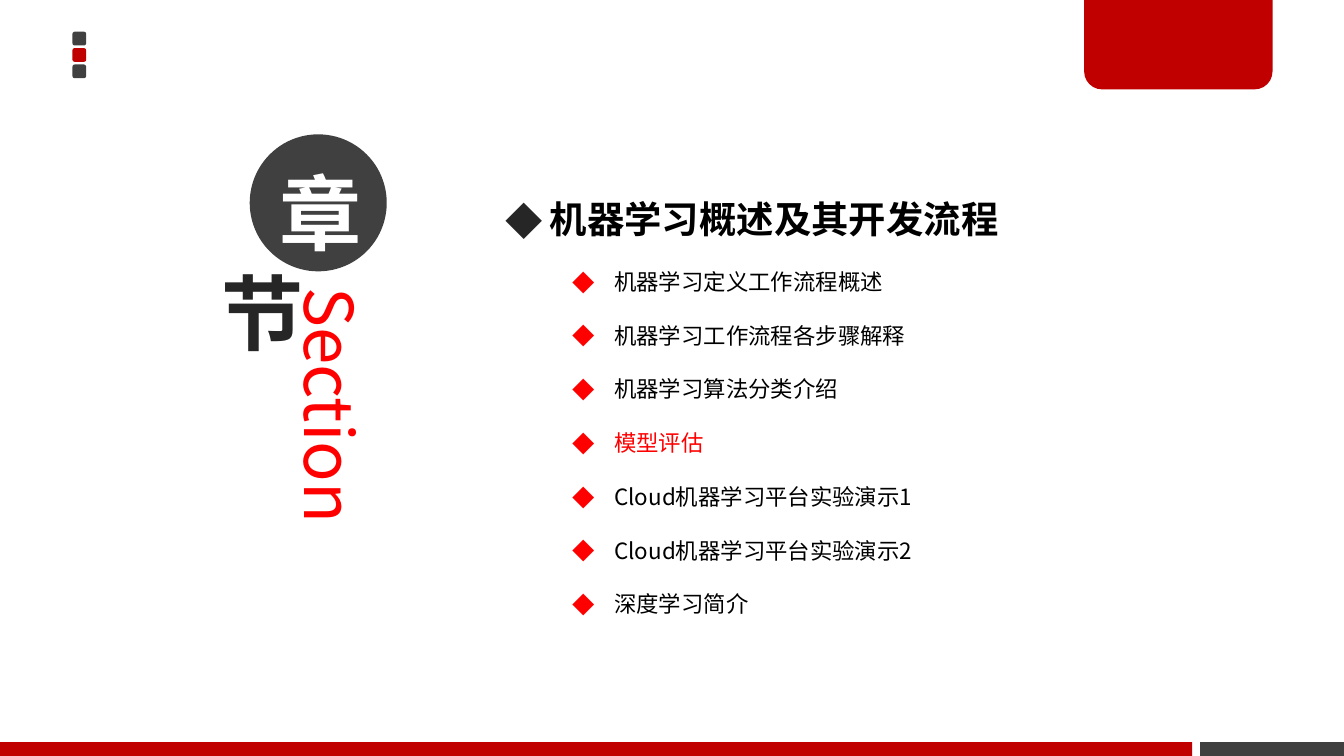
from lxml.etree import SubElement
from pptx import Presentation
from pptx.dml.color import RGBColor
from pptx.enum.shapes import MSO_SHAPE
from pptx.enum.text import MSO_ANCHOR, MSO_AUTO_SIZE, PP_ALIGN
from pptx.oxml.ns import qn
from pptx.util import Cm, Pt

# Content
HEADING = "机器学习概述及其开发流程"
TOPICS = [
    "机器学习定义工作流程概述",
    "机器学习工作流程各步骤解释",
    "机器学习算法分类介绍",
    "模型评估",
    "Cloud机器学习平台实验演示1",
    "Cloud机器学习平台实验演示2",
    "深度学习简介",
]
CURRENT = "模型评估"

# Style
FONT = "Noto Sans CJK SC"
DARK, INK, CRIMSON, RED = "404040", "262626", "C00000", "FF0000"
BLACK, WHITE = "000000", "FFFFFF"
SLIDE_W, SLIDE_H = 25.4, 14.29


def color(value):
    return RGBColor.from_string(value)


def add_shape(kind, x, y, w, h, fill=None):
    sp = s.shapes.add_shape(kind, Cm(x), Cm(y), Cm(w), Cm(h))
    sp.shadow.inherit = False
    sp.line.fill.background()
    if fill:
        sp.fill.solid()
        sp.fill.fore_color.rgb = color(fill)
    else:
        sp.fill.background()
    return sp


def add_text(p, text, size, fill, bold=False):
    r = p.add_run()
    r.text = text
    r.font.name = FONT
    r.font.size = Pt(size)
    r.font.bold = bold
    r.font.color.rgb = color(fill)
    SubElement(r.font._element, qn("a:ea"), typeface=FONT)


def add_bullet(p, margin, hanging, fill):
    p.line_spacing = 2.0
    pPr = p._p.get_or_add_pPr()
    pPr.set("marL", str(Cm(margin)))
    pPr.set("indent", str(-Cm(hanging)))
    SubElement(SubElement(pPr, qn("a:buClr")), qn("a:srgbClr"), val=fill)
    SubElement(pPr, qn("a:buFont"), typeface=FONT)
    SubElement(pPr, qn("a:buChar"), char="◆")


def add_badge(text, x, y, size, fill, text_fill, bottom=0.1):
    sp = add_shape(MSO_SHAPE.OVAL, x, y, size, size, fill)
    tf = sp.text_frame
    tf.vertical_anchor = MSO_ANCHOR.MIDDLE
    tf.margin_left = tf.margin_right = Cm(0.18)
    tf.margin_top, tf.margin_bottom = Cm(0.1), Cm(bottom)
    p = tf.paragraphs[0]
    p.alignment = PP_ALIGN.CENTER
    add_text(p, text, 44, text_fill, bold=True)
    return p


prs = Presentation()
prs.slide_width, prs.slide_height = Cm(SLIDE_W), Cm(SLIDE_H)
s = prs.slides.add_slide(prs.slide_layouts[6])

# Corner squares
for i, fill in enumerate((DARK, CRIMSON, DARK)):
    add_shape(MSO_SHAPE.ROUNDED_RECTANGLE, 1.37, 0.6 + 0.31 * i, 0.26, 0.26, fill)

# Top tab, rounded at the bottom
tab = add_shape(MSO_SHAPE.ROUND_2_SAME_RECTANGLE, 20.49, 0, 3.56, 1.69, CRIMSON)
tab.adjustments[0], tab.adjustments[1] = 0, 0.2

# Footer bars
BAR_H, SPLIT, GAP = 0.26, 22.53, 0.15
for x, end, fill in ((0, SPLIT, CRIMSON), (SPLIT + GAP, SLIDE_W, DARK)):
    add_shape(MSO_SHAPE.RECTANGLE, x, SLIDE_H - BAR_H, end - x, BAR_H, fill)

# Section label
label = s.shapes.add_textbox(Cm(5.43), Cm(5.33), Cm(1.78), Cm(7.34))
tf = label.text_frame
tf.word_wrap = True
tf.margin_left = tf.margin_right = Cm(0.18)
tf.margin_top = tf.margin_bottom = Cm(0.1)
tf._txBody.bodyPr.set("vert", "vert")
add_text(tf.paragraphs[0], "Section", 36, RED)

p = add_badge("章", 4.72, 2.54, 2.59, DARK, WHITE, bottom=0.38)
p.line_spacing = Pt(70)
add_badge("节", 3.71, 4.88, 2.03, None, INK)

# Outline
outline = s.shapes.add_textbox(Cm(9.3), Cm(2.74), Cm(14.2), Cm(8.99))
tf = outline.text_frame
tf.word_wrap = True
tf.auto_size = MSO_AUTO_SIZE.SHAPE_TO_FIT_TEXT
p = tf.paragraphs[0]
add_bullet(p, 0.84, 0.84, INK)
add_text(p, HEADING, 20, BLACK, bold=True)
for topic in TOPICS:
    p = tf.add_paragraph()
    p.level = 1
    add_bullet(p, 2.06, 0.79, RED)
    add_text(p, topic, 12, RED if topic == CURRENT else BLACK)

prs.save("out.pptx")
